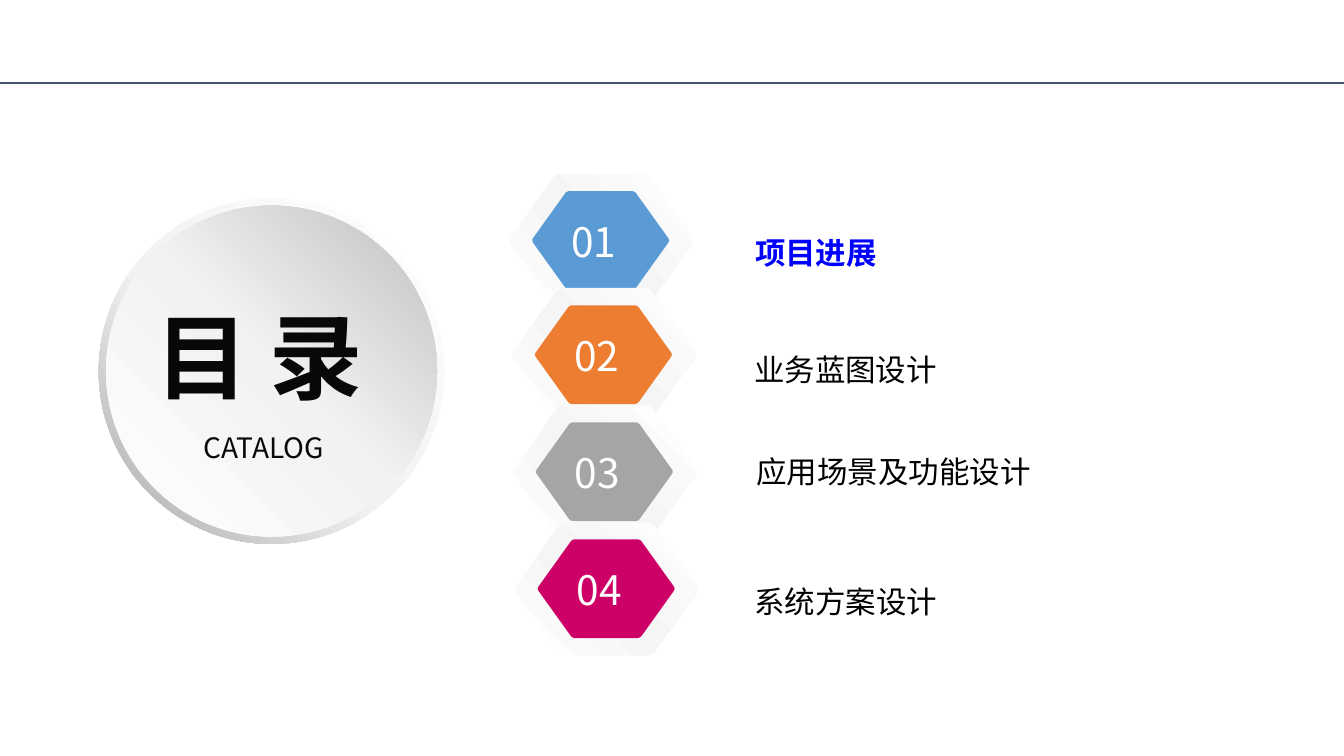
from lxml import etree
from pptx import Presentation
from pptx.dml.color import RGBColor
from pptx.enum.shapes import MSO_CONNECTOR, MSO_SHAPE
from pptx.enum.text import MSO_ANCHOR, MSO_AUTO_SIZE, PP_ALIGN
from pptx.oxml.ns import qn
from pptx.util import Pt

# Content: number badges (label, left, top, colour)
BADGES = [
    ("01", 556, 190, "5B9BD5"),
    ("02", 559, 315, "ED7D31"),
    ("03", 560, 443, "A5A5A5"),
    ("04", 562, 571, "CC0066"),
]
# Agenda entries (text, box in px, format)
PLAIN = {"line_spacing": 2.0}
ENTRIES = [
    ("项目进展", (816, 216, 288, 79), {"color": "0000FF", "bold": True, **PLAIN}),
    ("业务蓝图设计", (815, 345, 394, 79), PLAIN),
    ("应用场景及功能设计", (816, 491, 323, 50), {"align": PP_ALIGN.CENTER, "wrap": False}),
    ("系统方案设计", (815, 598, 378, 79), PLAIN),
]
TITLE = ("目 录", (160, 322, 266, 134))
SUBTITLE = ("CATALOG", (178, 459, 221, 61))

THEME = {
    "font": "Noto Sans CJK SC",
    "title": 73.5, "subtitle": 22.1, "number": 32, "entry": 24,
    "ink": "080808", "black": "000000", "white": "FFFFFF", "rule": "44546A",
    "ring": ([(0, "FFFFFF"), (55, "F2F2F2"), (100, "A6A6A6")], 135),
    "disc": ([(0, "FFFFFF"), (51, "F2F2F2"), (100, "BFBFBF")], 315),
    "frame": ([(0, "FFFFFF"), (47, "F5F5F5"), (100, "FFFFFF")], 315),
}
PX = 9144  # 100 px to the inch
PAGE_WIDTH, PAGE_HEIGHT = 1470, 827
RULE_TOP = 91
# Badge layers, relative to the badge corner
BACK, FRAME, FACE = (0, 0, 202, 147), (1, 1, 201, 145), (26, 19, 150, 108)
NUMBER = (59, 42, 98, 64)


def emu(lengths):
    return [round(length * PX) for length in lengths]


def paint(shape, fill):
    """Fill with a colour, or with (stops, clockwise angle)."""
    shape.shadow.inherit = False
    shape.line.fill.background()
    if isinstance(fill, str):
        shape.fill.solid()
        shape.fill.fore_color.rgb = RGBColor.from_string(fill)
        return
    stops, angle = fill
    shape.fill.gradient()
    gradient = shape.element.spPr.find(qn("a:gradFill"))
    for child in list(gradient):
        gradient.remove(child)
    stop_list = etree.SubElement(gradient, qn("a:gsLst"))
    for position, color in stops:
        stop = etree.SubElement(stop_list, qn("a:gs"), pos=str(position * 1000))
        etree.SubElement(stop, qn("a:srgbClr"), val=color)
    etree.SubElement(gradient, qn("a:lin"), ang=str(angle * 60000), scaled="0")


def write(box, text, size, color=THEME["black"], bold=False, align=PP_ALIGN.LEFT,
          anchor=MSO_ANCHOR.TOP, wrap=True, line_spacing=1.0,
          auto_size=MSO_AUTO_SIZE.SHAPE_TO_FIT_TEXT, inset=(10, 5)):
    side, end = emu(inset)
    frame_format = {
        "word_wrap": wrap, "auto_size": auto_size, "vertical_anchor": anchor,
        "margin_left": side, "margin_right": side,
        "margin_top": end, "margin_bottom": end,
    }
    for name, value in frame_format.items():
        setattr(box.text_frame, name, value)
    para = box.text_frame.paragraphs[0]
    para.alignment, para.line_spacing = align, line_spacing
    span = para.add_run()
    span.text = text
    for name, value in {"name": THEME["font"], "size": Pt(size), "bold": bold}.items():
        setattr(span.font, name, value)
    span.font.color.rgb = RGBColor.from_string(color)
    etree.SubElement(span.font._element, qn("a:ea"), typeface=THEME["font"])


def add_hexagon(shapes, left, top, width, height, fill):
    """Draw a flat-topped hexagon with rounded corners."""
    bulge, inset, cut = 0.005 * width, 0.253 * width, 0.022 * width
    right, bottom, middle = left + width, top + height, top + height / 2
    corners = [
        (left - bulge, middle), (left + inset, top), (right - inset, top),
        (right + bulge, middle), (right - inset, bottom), (left + inset, bottom),
    ]

    def toward(start, goal):
        run, rise = goal[0] - start[0], goal[1] - start[1]
        share = cut / (run * run + rise * rise) ** 0.5
        return start[0] + run * share, start[1] + rise * share

    points = []
    for index, corner in enumerate(corners):
        enter = toward(corner, corners[index - 1])
        leave = toward(corner, corners[(index + 1) % 6])
        for step in range(7):
            t = step / 6
            points.append(emu(
                (1 - t) ** 2 * a + 2 * t * (1 - t) * b + t * t * c
                for a, b, c in zip(enter, corner, leave)))
    builder = shapes.build_freeform(*points[0], scale=1.0)
    builder.add_line_segments(points[1:], close=True)
    paint(builder.convert_to_shape(), fill)


def main():
    deck = Presentation()
    deck.slide_width, deck.slide_height = emu((PAGE_WIDTH, PAGE_HEIGHT))
    page = deck.slides.add_slide(deck.slide_layouts[5])
    shapes = page.shapes

    # Header rule
    rule = shapes.add_connector(
        MSO_CONNECTOR.STRAIGHT, *emu((0, RULE_TOP, PAGE_WIDTH, RULE_TOP)))
    rule.line.color.rgb = RGBColor.from_string(THEME["rule"])
    rule.line.width = Pt(1.5)
    etree.SubElement(rule.element.spPr, qn("a:effectLst"))

    # Title disc
    disc_group = shapes.add_group_shape().shapes
    ring = disc_group.add_shape(MSO_SHAPE.DONUT, *emu((108, 217, 378, 378)))
    ring.adjustments[0] = 0.049
    paint(ring, THEME["ring"])
    disc = disc_group.add_shape(MSO_SHAPE.OVAL, *emu((116, 225, 362, 362)))
    paint(disc, THEME["disc"])

    # Title, raised above the disc
    text, place = TITLE
    title = shapes.title
    title.left, title.top, title.width, title.height = emu(place)
    title.element.getparent().append(title.element)
    write(title, text, THEME["title"], THEME["ink"], bold=True)
    text, place = SUBTITLE
    write(shapes.add_textbox(*emu(place)), text, THEME["subtitle"], THEME["ink"],
          align=PP_ALIGN.CENTER, anchor=MSO_ANCHOR.MIDDLE,
          auto_size=MSO_AUTO_SIZE.NONE, inset=(11, 6))

    # Agenda entries
    for text, place, style in ENTRIES:
        write(shapes.add_textbox(*emu(place)), text, THEME["entry"],
              anchor=MSO_ANCHOR.MIDDLE, **style)

    # Number badges
    for label, left, top, color in BADGES:
        badge = shapes.add_group_shape().shapes
        layers = ((BACK, THEME["white"]), (FRAME, THEME["frame"]), (FACE, color))
        for (x, y, width, height), fill in layers:
            add_hexagon(badge, left + x, top + y, width, height, fill)
        x, y, width, height = NUMBER
        box = badge.add_textbox(*emu((left + x, top + y, width, height)))
        write(box, label, THEME["number"], THEME["white"])

    deck.save("out.pptx")


if __name__ == "__main__":
    main()
